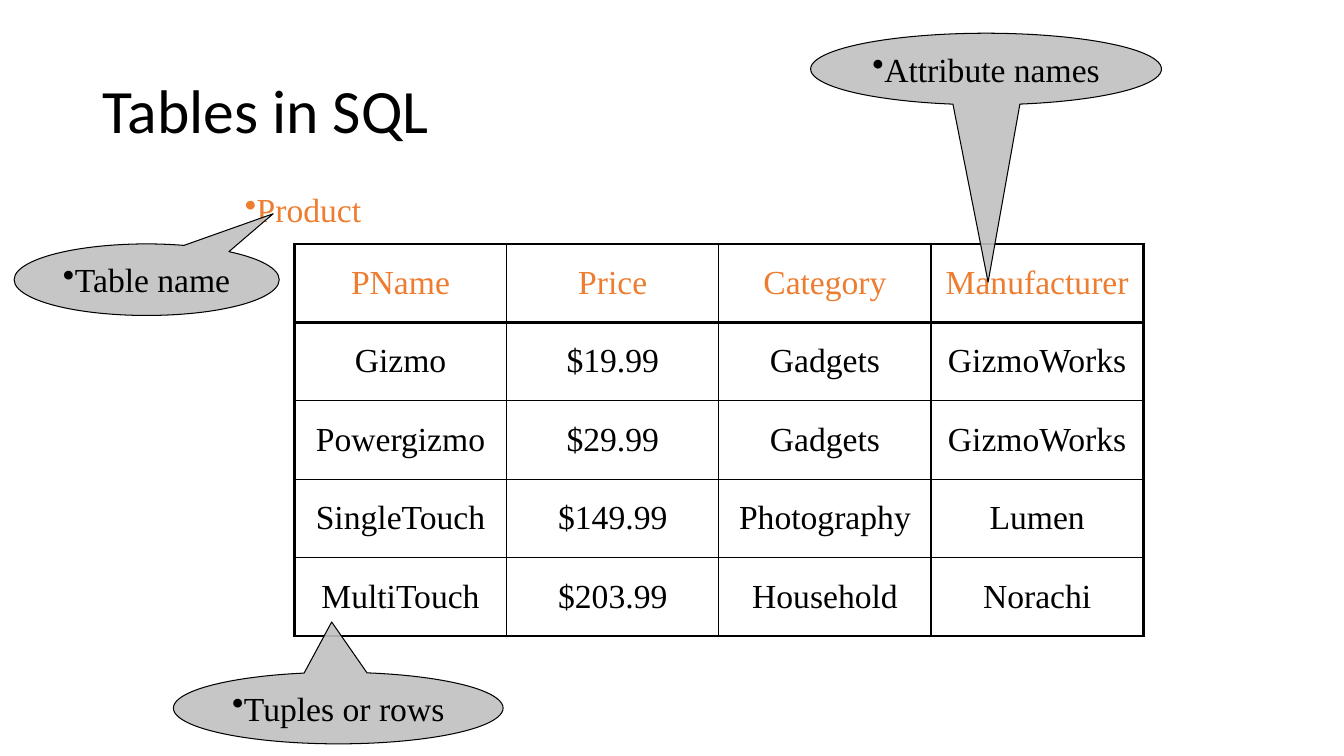
from dataclasses import dataclass

from lxml import etree
from pptx import Presentation
from pptx.dml.color import RGBColor
from pptx.enum.shapes import MSO_SHAPE
from pptx.enum.text import MSO_ANCHOR, MSO_AUTO_SIZE, PP_ALIGN
from pptx.oxml.ns import qn
from pptx.util import Inches, Pt

CENTER, LEFT = PP_ALIGN.CENTER, PP_ALIGN.LEFT
MIDDLE, TOP = MSO_ANCHOR.MIDDLE, MSO_ANCHOR.TOP
FIT_SHAPE = MSO_AUTO_SIZE.SHAPE_TO_FIT_TEXT
CALLOUT = MSO_SHAPE.OVAL_CALLOUT


@dataclass(frozen=True)
class Theme:
    ink: str = "000000"
    accent: str = "ED7D31"
    callout: str = "C0C0C0"
    callout_opacity: int = 90
    title_font: str = "Calibri"
    body_font: str = "Times New Roman"
    title_size: int = 44
    body_size: int = 24
    thick: float = 2.25
    thin: float = 1
    outline: float = 0.75


THEME = Theme()

PRODUCTS = [
    ("PName", "Price", "Category", "Manufacturer"),
    ("Gizmo", "$19.99", "Gadgets", "GizmoWorks"),
    ("Powergizmo", "$29.99", "Gadgets", "GizmoWorks"),
    ("SingleTouch", "$149.99", "Photography", "Lumen"),
    ("MultiTouch", "$203.99", "Household", "Norachi"),
]

# Text, box (left, top, width, height) and the point the callout points at
CALLOUTS = [
    ("Attribute names", (8.04, 0.33, 3.48, 0.71), (9.8, 2.8)),
    ("Table name", (0.14, 2.42, 2.63, 0.71), (2.71, 2.12)),
    ("Tuples or rows", (1.72, 6.67, 3.27, 0.71), (3.29, 6.17)),
]


def inches(box):
    return [Inches(length) for length in box]


def add_child(parent, tag, **attributes):
    return etree.SubElement(parent, qn(tag), attributes)


def style_text(para, font, size, color):
    for span in para.runs:
        span.font.name = font
        span.font.size = Pt(size)
        span.font.color.rgb = RGBColor.from_string(color)


def write_body(frame, text, color, align, bullet=False):
    """Write one body paragraph, with space before it and an optional bullet."""
    frame.text = text
    para = frame.paragraphs[0]
    para.alignment = align
    style_text(para, THEME.body_font, THEME.body_size, color)
    properties = para._p.get_or_add_pPr()
    spacing = add_child(properties, "a:spcBef")
    add_child(spacing, "a:spcPct", val="20000")
    if bullet:
        properties.set("marL", "0")
        properties.set("indent", "0")
        add_child(properties, "a:buFontTx")
        add_child(properties, "a:buChar", char="•")


def add_title(slide, box, text):
    frame = slide.shapes.add_textbox(*inches(box)).text_frame
    frame.word_wrap = True
    frame.vertical_anchor = MIDDLE
    frame.text = text
    para = frame.paragraphs[0]
    para.line_spacing = 0.9
    style_text(para, THEME.title_font, THEME.title_size, THEME.ink)


def add_table_name(slide, box, text):
    frame = slide.shapes.add_textbox(*inches(box)).text_frame
    frame.word_wrap = False
    frame.auto_size = FIT_SHAPE
    write_body(frame, text, THEME.accent, LEFT, bullet=True)


def set_borders(cell, widths):
    properties = cell._tc.get_or_add_tcPr()
    for side, width in widths.items():
        line = add_child(properties, f"a:ln{side}", w=str(Pt(width)))
        fill = add_child(line, "a:solidFill")
        add_child(fill, "a:srgbClr", val=THEME.ink)


def add_product_table(slide, box, rows):
    """Equal cells, with thick lines round the grid and below the header."""
    left, top, width, height = inches(box)
    row_count, column_count = len(rows), len(rows[0])
    table = slide.shapes.add_table(
        row_count, column_count, left, top, width, height).table
    table.first_row = table.horz_banding = False
    for r, values in enumerate(rows):
        for c, value in enumerate(values):
            cell = table.cell(r, c)
            cell.vertical_anchor = MIDDLE
            color = THEME.accent if r == 0 else THEME.ink
            write_body(cell.text_frame, value, color, CENTER)
            heavy = {
                "L": c == 0,
                "R": c == column_count - 1,
                "T": r <= 1,
                "B": r in (0, row_count - 1),
            }
            set_borders(cell, {side: THEME.thick if on else THEME.thin
                               for side, on in heavy.items()})
            cell.fill.background()


def add_callout(slide, text, box, tip):
    left, top, width, height = box
    shape = slide.shapes.add_shape(CALLOUT, *inches(box))
    shape.adjustments[0] = (tip[0] - left) / width - 0.5
    shape.adjustments[1] = (tip[1] - top) / height - 0.5
    shape.shadow.inherit = False
    shape.fill.solid()
    shape.fill.fore_color.rgb = RGBColor.from_string(THEME.callout)
    color = shape._element.spPr.find(qn("a:solidFill"))[0]
    add_child(color, "a:alpha", val=str(THEME.callout_opacity * 1000))
    shape.line.color.rgb = RGBColor.from_string(THEME.ink)
    shape.line.width = Pt(THEME.outline)
    frame = shape.text_frame
    frame.word_wrap = False
    frame.auto_size = FIT_SHAPE
    frame.vertical_anchor = TOP
    write_body(frame, text, THEME.ink, CENTER, bullet=True)


def main():
    deck = Presentation()
    deck.slide_width, deck.slide_height = Inches(13.33), Inches(7.5)
    slide = deck.slides.add_slide(deck.slide_layouts[6])
    add_title(slide, (0.92, 0.4, 11.5, 1.45), "Tables in SQL")
    add_product_table(slide, (2.92, 2.42, 8.42, 3.89), PRODUCTS)
    add_table_name(slide, (2.33, 1.83, 1.37, 0.5), "Product")
    for text, box, tip in CALLOUTS:
        add_callout(slide, text, box, tip)
    deck.save("out.pptx")


if __name__ == "__main__":
    main()
